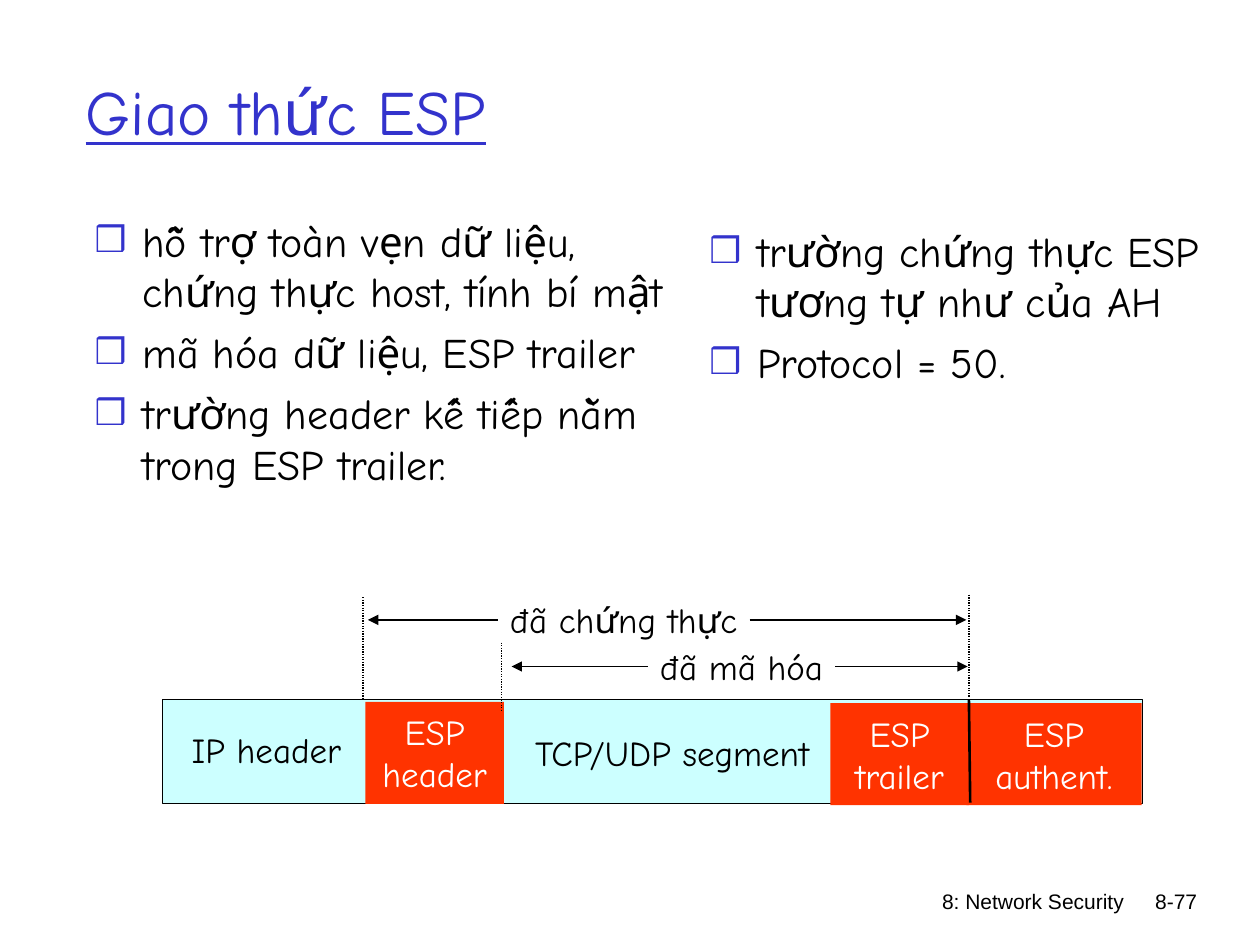
from lxml import etree
from pptx import Presentation
from pptx.dml.color import RGBColor
from pptx.enum.dml import MSO_LINE
from pptx.enum.shapes import MSO_CONNECTOR, MSO_SHAPE
from pptx.enum.text import MSO_ANCHOR, MSO_AUTO_SIZE, PP_ALIGN
from pptx.oxml.ns import qn
from pptx.util import Inches, Pt

LEFT, CENTER, RIGHT = PP_ALIGN.LEFT, PP_ALIGN.CENTER, PP_ALIGN.RIGHT
TOP, MIDDLE = MSO_ANCHOR.TOP, MSO_ANCHOR.MIDDLE
STRAIGHT, RECT = MSO_CONNECTOR.STRAIGHT, MSO_SHAPE.RECTANGLE
DOTTED, NO_FIT = MSO_LINE.ROUND_DOT, MSO_AUTO_SIZE.NONE
COLORS = {name: RGBColor.from_string(value) for name, value in {
    "ink": "000000", "title": "3333CC", "data": "CCFFFF",
    "esp": "FF3300", "white": "FFFFFF"}.items()}
HAND, PLAIN = "Comic Neue", "Arial"

prs = Presentation()
prs.slide_width, prs.slide_height = Inches(10), Inches(7.5)
s = prs.slides.add_slide(prs.slide_layouts[3])
cell = prs.slide_width / 100  # square grid: 100 columns by 75 rows


def grid(*cells):
    return [round(n * cell) for n in cells]


def write(sp, lines, size, color, align=CENTER, anchor=TOP, font=HAND, wrap=True):
    tf = sp.text_frame
    tf.auto_size, tf.word_wrap, tf.vertical_anchor = NO_FIT, wrap, anchor
    for i, line in enumerate(lines):
        p = tf.paragraphs[0] if i == 0 else tf.add_paragraph()
        p.alignment = align
        r = p.add_run()
        r.text = line
        r.font.name, r.font.size = font, Pt(size)
        r.font.color.rgb = COLORS[color]
    return tf


# Title
sp = s.shapes.title
sp.left, sp.top, sp.width, sp.height = grid(5.8, 2.5, 85, 12.5)
tf = write(sp, ["Giao thức ESP"], 36, "title", LEFT, MIDDLE)
tf.paragraphs[0].runs[0].font.underline = True

# Bullet lists
lists = [
    (1, (6.5, 16.6, 48.2, 30.5),
     ["hỗ trợ toàn vẹn dữ liệu, chứng thực host, tính bí mật",
      "mã hóa dữ liệu, ESP trailer",
      "trường header kế tiếp nằm trong ESP trailer."]),
    (2, (55.3, 17.4, 41.7, 26.9),
     ["trường chứng thực ESP tương tự như của AH", "Protocol = 50."]),
]
for idx, area, items in lists:
    sp = s.placeholders[idx]
    sp.left, sp.top, sp.width, sp.height = grid(*area)
    tf = write(sp, items, 24, "ink", LEFT)
    for i, p in enumerate(tf.paragraphs):
        p.space_before = Pt(6 if i else 0)
        pPr = p._p.get_or_add_pPr()
        pPr.set("marL", str(Inches(0.38)))
        pPr.set("indent", str(-Inches(0.38)))
        buClr = etree.SubElement(pPr, qn("a:buClr"))
        etree.SubElement(buClr, qn("a:srgbClr"), val=str(COLORS["title"]))
        etree.SubElement(pPr, qn("a:buSzPct"), val="85000")
        etree.SubElement(pPr, qn("a:buChar"), char="❒")

# Packet bar and its ESP fields
bar = [
    ((12.9, 55.5, 77.8, 8.3), "data", []),
    ((29, 55.7, 11, 8.1), "esp", ["ESP", "header"]),
    ((65.9, 55.8, 11, 8.1), "esp", ["ESP", "trailer"]),
    ((76.7, 55.8, 13.9, 8.1), "esp", ["ESP", "authent."]),
]
for area, fill, lines in bar:
    sp = s.shapes.add_shape(RECT, *grid(*area))
    sp.shadow.inherit = False
    sp.fill.solid()
    sp.fill.fore_color.rgb = COLORS[fill]
    if fill == "data":
        sp.line.color.rgb, sp.line.width = COLORS["ink"], Pt(0.75)
    else:
        sp.line.fill.background()
    write(sp, lines, 20, "white", anchor=MIDDLE)

# Plain labels in and above the bar
labels = {}
for text, area in [
    ("IP header", (14.2, 57.3, 13.9, 4.4)),
    ("TCP/UDP segment", (41.3, 57.6, 24.1, 4.4)),
    ("đã chứng thực", (39.5, 47, 20, 4.4)),
    ("đã mã hóa", (51.4, 50.7, 14.9, 4.4)),
]:
    labels[text] = s.shapes.add_textbox(*grid(*area))
    write(labels[text], [text], 20, "ink", wrap=False)

# Lines: start label and side, points, width, dash
lines = [(None, 0, (76.9, 55.5, 77, 63.7), 1.5, None)]
for x, top, bottom in [(28.8, 47.4, 55.5), (76.9, 47.2, 55.3), (39.8, 51, 56.4)]:
    lines.append((None, 0, (x, top, x, bottom), 0.75, DOTTED))
for text, y, left, right in [("đã chứng thực", 49.2, 29.2, 76.7),
                             ("đã mã hóa", 52.9, 40.6, 76.8)]:
    for side, x in [(1, left), (3, right)]:
        lines.append((labels[text], side, (x, y, x, y), 0.75, None))
for label, side, points, width, dash in lines:
    c = s.shapes.add_connector(STRAIGHT, *grid(*points))
    c.line.color.rgb, c.line.width = COLORS["ink"], Pt(width)
    if dash:
        c.line.dash_style = dash
    if label is not None:
        c.begin_connect(label, side)
        etree.SubElement(c.line._get_or_add_ln(), qn("a:tailEnd"), type="triangle")
    etree.SubElement(c._element.spPr, qn("a:effectLst"))

# Footer
for text, area in [("8: Network Security", (58.5, 70, 31.7, 5)),
                   ("8-77", (88, 70, 8, 3.2))]:
    write(s.shapes.add_textbox(*grid(*area)), [text], 12, "ink", RIGHT, font=PLAIN)

prs.save("out.pptx")
